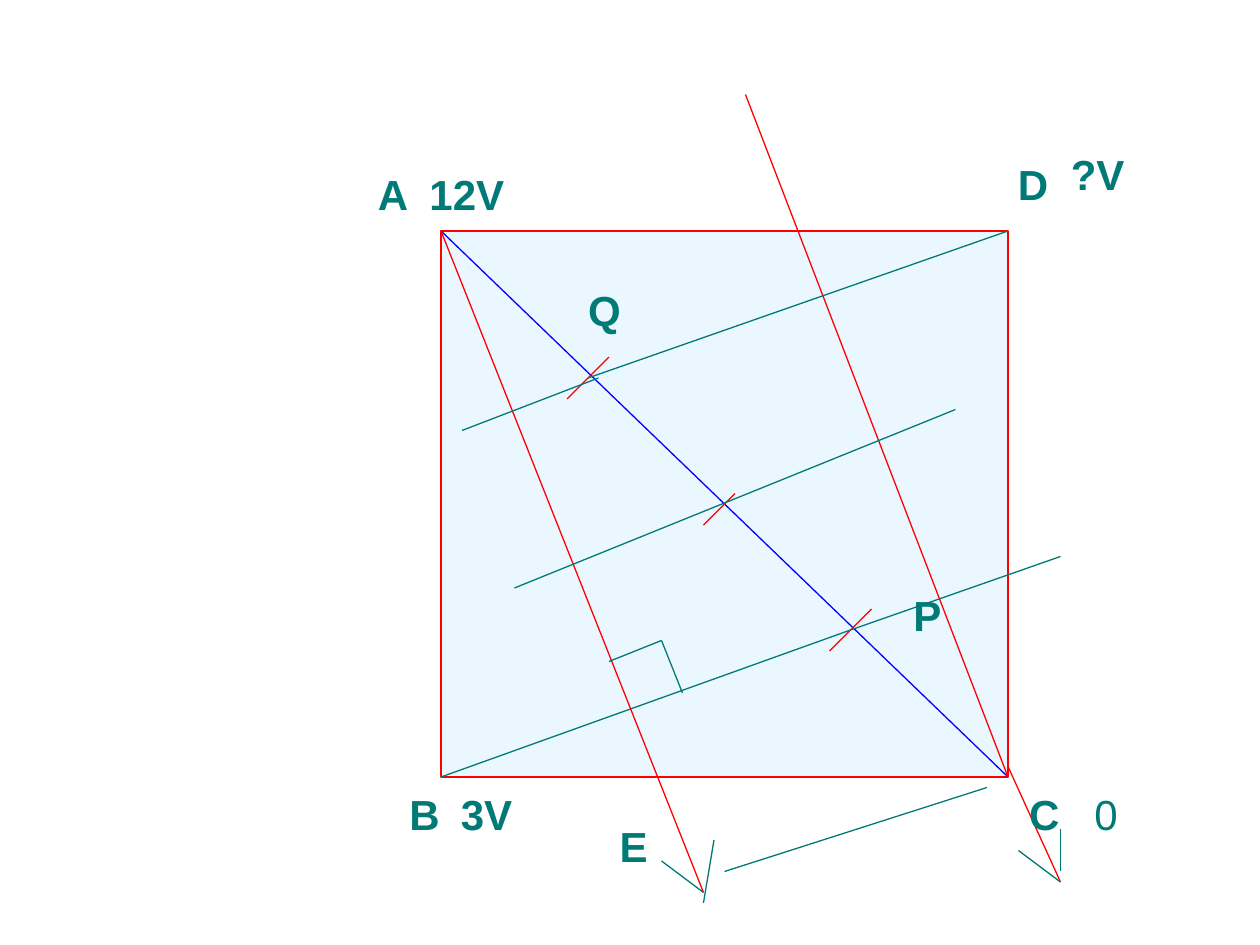
from lxml import etree
from pptx import Presentation
from pptx.dml.color import RGBColor
from pptx.enum.shapes import MSO_CONNECTOR, MSO_SHAPE
from pptx.enum.text import MSO_AUTO_SIZE, PP_ALIGN
from pptx.oxml.ns import qn
from pptx.util import Inches, Pt

STRAIGHT = MSO_CONNECTOR.STRAIGHT
RECT = MSO_SHAPE.RECTANGLE
LEFT, RIGHT = PP_ALIGN.LEFT, PP_ALIGN.RIGHT
FIT = MSO_AUTO_SIZE.SHAPE_TO_FIT_TEXT
RED, BLUE, TEAL, PALE = "FF0000", "0000FF", "007A77", "EBF7FF"
COLS, ROWS = 120, 90


def rgb(value):
    return RGBColor.from_string(value)


prs = Presentation()
prs.slide_width, prs.slide_height = Inches(10), Inches(7.5)
s = prs.slides.add_slide(prs.slide_layouts[6])
col, row = prs.slide_width / COLS, prs.slide_height / ROWS

# Corners of the square, and the trisection point P, as (column, row)
A, B, C, D = (42, 22), (42, 74), (96, 74), (96, 22)
P = (81, 60)
E = (67, 85)
C_TIP = (101, 84)

sp = s.shapes.add_shape(RECT, int(A[0] * col), int(A[1] * row),
                        int((C[0] - A[0]) * col), int((C[1] - A[1]) * row))
sp.shadow.inherit = False
sp.fill.solid()
sp.fill.fore_color.rgb = rgb(PALE)
sp.line.color.rgb = rgb(RED)
sp.line.width = Pt(0.75)

lines = [
    (A, C, BLUE),
    # ticks that divide the diagonal
    ((70, 47), (67, 50), RED),
    ((58, 34), (54, 38), RED),
    ((83, 58), (79, 62), RED),
    # equipotential through B and P
    (B, P, TEAL),
    (P, (101, 53), TEAL),
    # field line from A to E with its arrowhead
    (A, E, RED),
    ((63, 82), E, TEAL),
    ((68, 80), (67, 86), TEAL),
    # field line through C with its arrowhead
    (C, (71, 9), RED),
    ((96, 73), C_TIP, RED),
    ((97, 81), C_TIP, TEAL),
    ((101, 79), (101, 83), TEAL),
    # equipotentials near C, through D and Q, and through the centre
    ((94, 75), (69, 83), TEAL),
    ((56, 36), D, TEAL),
    ((57, 36), (44, 41), TEAL),
    ((49, 56), (91, 39), TEAL),
    # right-angle mark
    ((58, 63), (63, 61), TEAL),
    ((63, 61), (65, 66), TEAL),
]
for (x1, y1), (x2, y2), color in lines:
    cx = s.shapes.add_connector(STRAIGHT, int(x1 * col), int(y1 * row),
                                int(x2 * col), int(y2 * row))
    cx.line.color.rgb = rgb(color)
    cx.line.width = Pt(0.75)
    etree.SubElement(cx._element.spPr, qn("a:effectLst"))

# text, left, top, width, bold, alignment
labels = [
    ("A\t12V", 2.9, 1.29, 1.22, True, LEFT),
    ("B\t3V", 3.15, 6.21, 1.03, True, LEFT),
    ("C", 8.07, 6.21, 0.44, True, LEFT),
    ("D", 7.98, 1.21, 0.44, True, LEFT),
    ("0", 8.4, 6.21, 0.57, False, RIGHT),
    ("?V", 8.4, 1.13, 0.63, True, LEFT),
    ("P", 7.15, 4.63, 0.42, True, LEFT),
    ("Q", 4.57, 2.21, 0.46, True, LEFT),
    ("E", 4.82, 6.46, 0.42, True, LEFT),
]
for text, x, y, w, bold, align in labels:
    tf = s.shapes.add_textbox(Inches(x), Inches(y), Inches(w), Inches(0.5)).text_frame
    tf.word_wrap = align == RIGHT
    tf.auto_size = FIT
    p = tf.paragraphs[0]
    p.alignment = align
    if "\t" in text:
        tabs = etree.SubElement(p._p.get_or_add_pPr(), qn("a:tabLst"))
        etree.SubElement(tabs, qn("a:tab"), pos=str(Inches(0.41)), algn="l")
    r = p.add_run()
    r.text = text
    for name, value in {"name": "Arial", "size": Pt(24), "bold": bold}.items():
        setattr(r.font, name, value)
    r.font.color.rgb = rgb(TEAL)

prs.save("out.pptx")
